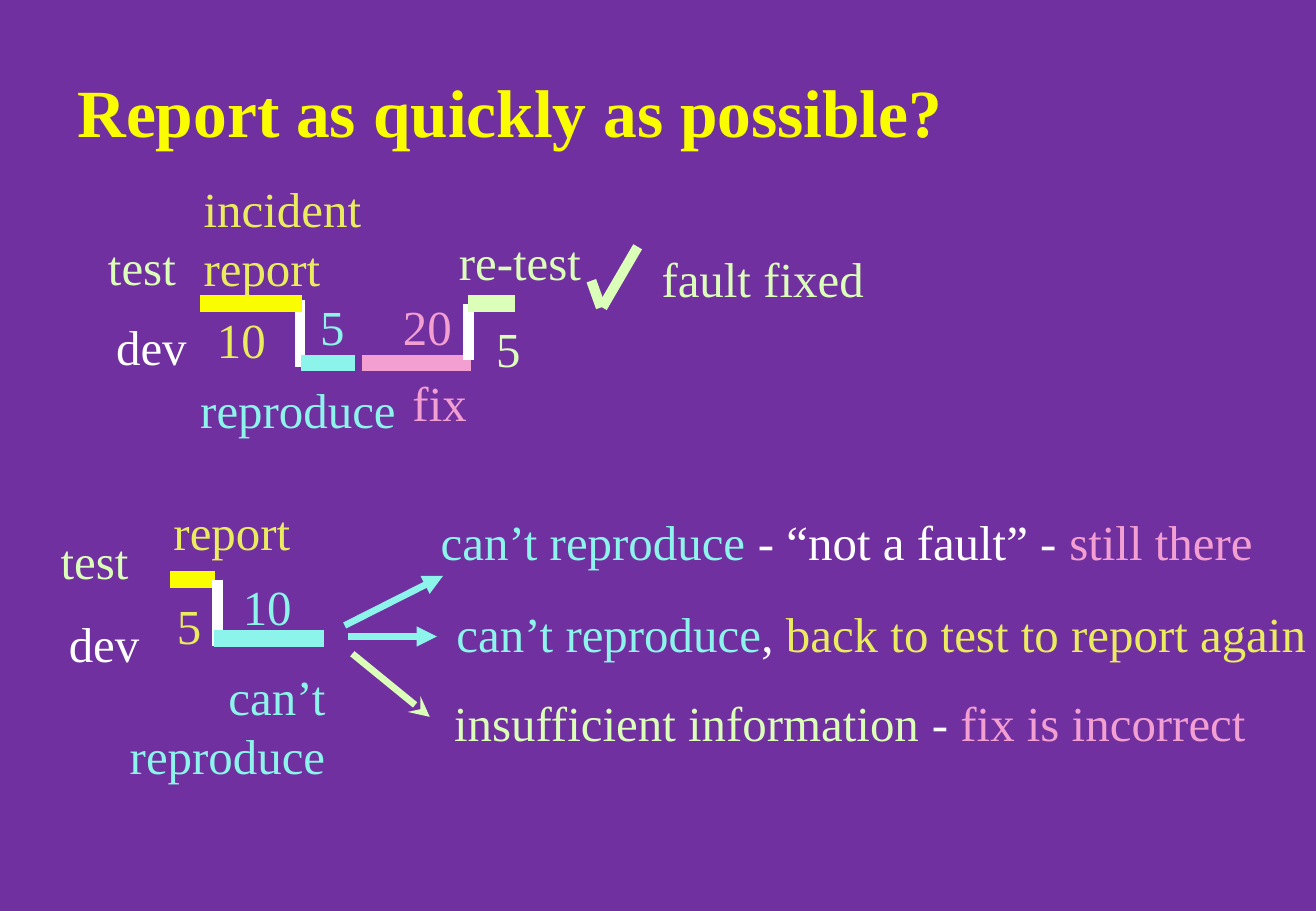
from dataclasses import dataclass

from lxml import etree
from pptx import Presentation
from pptx import util as u
from pptx.dml.color import RGBColor
from pptx.enum import shapes, text
from pptx.oxml.ns import qn


@dataclass(frozen=True)
class Theme:
    font: str = "Times New Roman"
    title_size: float = 40
    label_size: float = 29
    bar: float = 10
    step: float = 6
    arrow: float = 4
    background: str = "7030A0"
    yellow: str = "FAFD00"
    sand: str = "EAEC5E"
    lime: str = "DBFFB8"
    aqua: str = "8CF4EA"
    pink: str = "F39FD1"
    white: str = "FFFFFF"


T = Theme()


class Builder:
    def __init__(self, s, theme):
        self.s = s
        self.theme = theme
        s.background.fill.solid()
        s.background.fill.fore_color.rgb = RGBColor.from_string(theme.background)

    def _box(self, x, y, w, h):
        sp = self.s.shapes.add_textbox(u.Cm(x), u.Cm(y), u.Cm(w), u.Cm(h))
        return sp.text_frame

    def _run(self, p, words, color, size, bold=False):
        r = p.add_run()
        r.text = words
        r.font.name = self.theme.font
        r.font.size = u.Pt(size)
        r.font.bold = bold
        r.font.color.rgb = RGBColor.from_string(color)

    def title(self, x, y, w, h, words):
        tf = self._box(x, y, w, h)
        tf.word_wrap = True
        tf.vertical_anchor = text.MSO_ANCHOR.MIDDLE
        self._run(tf.paragraphs[0], words, self.theme.yellow,
                  self.theme.title_size, bold=True)

    def label(self, x, y, w, *lines, align=text.PP_ALIGN.LEFT):
        """Place unwrapped text; each line is a list of (words, color) runs."""
        tf = self._box(x, y, w, 0.28 + 1.22 * len(lines))
        tf.word_wrap = False
        tf.auto_size = text.MSO_AUTO_SIZE.SHAPE_TO_FIT_TEXT
        for i, runs in enumerate(lines):
            p = tf.add_paragraph() if i else tf.paragraphs[0]
            p.alignment = align
            for words, color in runs:
                self._run(p, words, color, self.theme.label_size)

    def line(self, x1, y1, x2, y2, color, width, head=None):
        """Draw a straight line, with an arrowhead of type head at its end."""
        cx = self.s.shapes.add_connector(
            shapes.MSO_CONNECTOR.STRAIGHT, u.Cm(x1), u.Cm(y1), u.Cm(x2), u.Cm(y2))
        cx.line.color.rgb = RGBColor.from_string(color)
        cx.line.width = u.Pt(width)
        if head:
            etree.SubElement(cx.line._get_or_add_ln(), qn("a:tailEnd"), type=head)
        etree.SubElement(cx._element.spPr, qn("a:effectLst"))

    def bar(self, x1, x2, y, color):
        self.line(x1, y, x2, y, color, self.theme.bar)

    def step(self, x, y1, y2):
        self.line(x, y1, x, y2, self.theme.white, self.theme.step)


def draw_fixed_fault(b):
    test_y, dev_y = 6.35, 7.59
    b.step(6.27, 6.27, 7.67)
    b.bar(6.3, 7.42, dev_y, T.aqua)
    b.bar(7.57, 9.86, dev_y, T.pink)
    b.step(9.8, 7.52, test_y)
    b.bar(9.78, 10.77, test_y, T.lime)
    b.bar(4.19, 6.32, test_y, T.yellow)

    check_mark = [(12.37, 5.87, 12.57, 6.43), (12.6, 6.43, 13.34, 5.16)]
    for stroke in check_mark:
        b.line(*stroke, T.lime, T.step)

    b.label(4.01, 3.61, 3.84, [("incident", T.sand)], [("report", T.sand)])
    for x, y, w, words, color in [
        (2.01, 4.83, 1.96, "test", T.lime),
        (2.18, 6.5, 2.01, "dev", T.white),
        (4.29, 6.35, 1.55, "10", T.sand),
        (6.45, 6.07, 1.04, "5", T.aqua),
        (3.94, 7.82, 4.62, "reproduce", T.aqua),
        (8.18, 6.07, 1.55, "20", T.pink),
        (8.38, 7.67, 1.68, "fix", T.pink),
        (10.13, 6.53, 1.04, "5", T.lime),
        (9.35, 4.72, 3.07, "re-test", T.lime),
        (13.59, 5.08, 4.78, "fault fixed", T.lime),
    ]:
        b.label(x, y, w, [(words, color)])


def draw_failed_report(b):
    test_y, dev_y = 12.12, 13.36
    b.bar(3.56, 4.5, test_y, T.yellow)
    b.step(4.55, test_y, 13.51)
    b.bar(4.47, 6.78, dev_y, T.aqua)
    for x, y, w, words, color in [
        (1.02, 10.97, 1.96, "test", T.lime),
        (1.19, 12.7, 2.01, "dev", T.white),
        (3.38, 10.36, 2.97, "report", T.sand),
        (3.45, 12.34, 1.04, "5", T.sand),
        (4.83, 11.94, 1.55, "10", T.aqua),
    ]:
        b.label(x, y, w, [(words, color)])
    b.label(2.44, 13.82, 4.62, [("can’t", T.aqua)], [("reproduce", T.aqua)],
            align=text.PP_ALIGN.RIGHT)


def draw_outcomes(b):
    outcomes = [
        ((7.21, 13.08, 9.27, 12.04), T.aqua, "triangle", (8.97, 10.57, 17.53),
         [("can’t reproduce", T.aqua), (" - “not a fault” - ", T.white),
          ("still there", T.pink)]),
        ((7.29, 13.31, 9.14, 13.31), T.aqua, "triangle", (9.3, 12.5, 18.34),
         [("can’t reproduce", T.aqua), (", ", T.white),
          ("back to test to report again", T.sand)]),
        ((7.37, 13.67, 8.99, 14.99), T.lime, "stealth", (9.25, 14.35, 17.12),
         [("insufficient information", T.lime), (" - ", T.white),
          ("fix is incorrect", T.pink)]),
    ]
    for arrow, color, head, place, runs in outcomes:
        b.line(*arrow, color, T.arrow, head)
        b.label(*place, runs)


def main():
    prs = Presentation()
    prs.slide_width, prs.slide_height = u.Cm(27.53), u.Cm(19.05)
    b = Builder(prs.slides.add_slide(prs.slide_layouts[6]), T)
    b.title(1.37, 1.47, 23.39, 1.7, "Report as quickly as possible?")
    draw_fixed_fault(b)
    draw_failed_report(b)
    draw_outcomes(b)
    prs.save("out.pptx")


if __name__ == "__main__":
    main()
